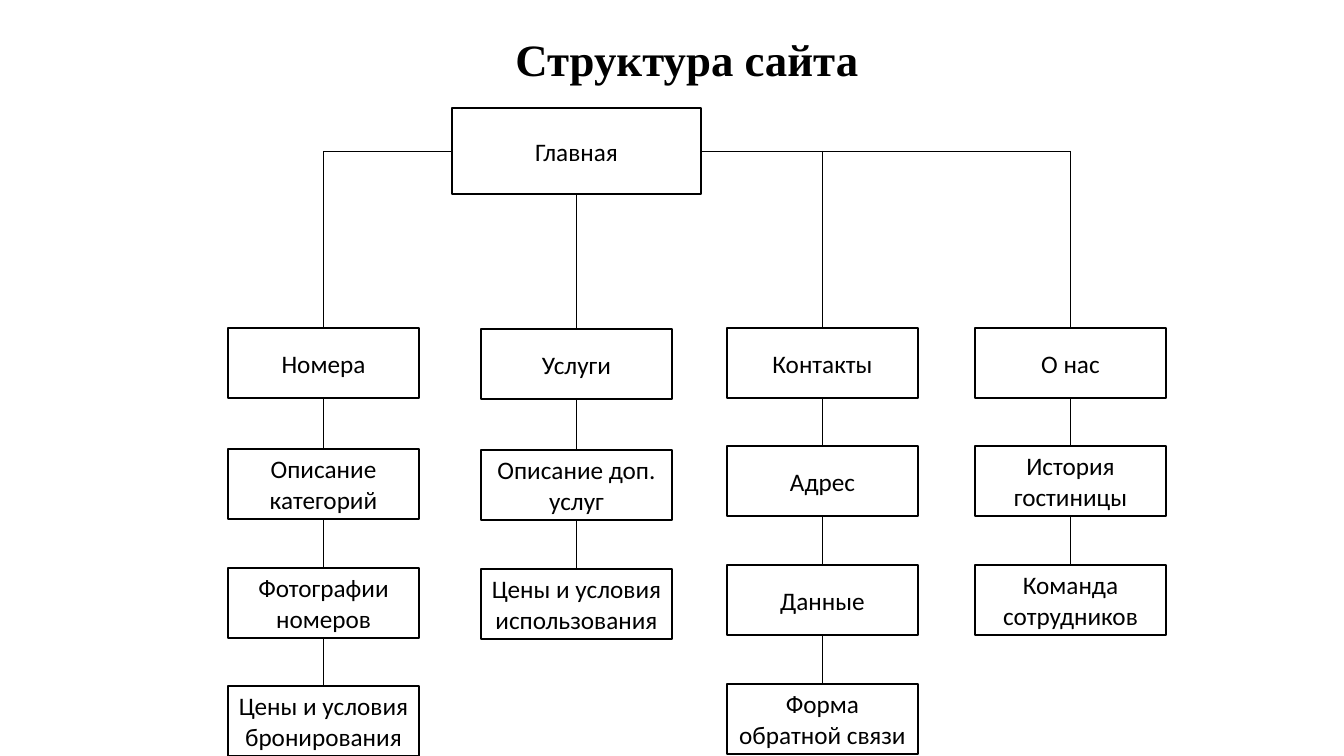
import pptx
import pptx.util
import pptx.dml.color
import pptx.enum.shapes
import pptx.enum.text
import pptx.oxml.ns
import lxml.etree

PX = 914400 / 100.8  # EMU per px
BLACK = pptx.dml.color.RGBColor(0x00, 0x00, 0x00)
WHITE = pptx.dml.color.RGBColor(0xFF, 0xFF, 0xFF)
STRAIGHT = pptx.enum.shapes.MSO_CONNECTOR.STRAIGHT
ELBOW = pptx.enum.shapes.MSO_CONNECTOR.ELBOW
TOP, LEFT, BOTTOM, RIGHT = range(4)
BOX_W, BOX_H = 191, 70

prs = pptx.Presentation()
prs.slide_width = pptx.util.Emu(round(1344 * PX))
prs.slide_height = pptx.util.Emu(round(756 * PX))
s = prs.slides.add_slide(prs.slide_layouts[6])


def add_box(text, x, y, w, h):
    sp = s.shapes.add_shape(pptx.enum.shapes.MSO_SHAPE.RECTANGLE,
                            *[round(v * PX) for v in (x, y, w, h)])
    sp.shadow.inherit = False
    sp.fill.solid()
    sp.fill.fore_color.rgb = WHITE
    sp.line.color.rgb = BLACK
    sp.line.width = pptx.util.Pt(1)
    tf = sp.text_frame
    tf.word_wrap = True
    tf.vertical_anchor = pptx.enum.text.MSO_ANCHOR.MIDDLE
    tf.text = text
    p = tf.paragraphs[0]
    p.alignment = pptx.enum.text.PP_ALIGN.CENTER
    font = p.runs[0].font
    font.name = "Calibri"
    font.size = pptx.util.Pt(18)
    font.color.rgb = BLACK
    return sp


def add_line(x1, y1, x2, y2, kind=STRAIGHT):
    cxn = s.shapes.add_connector(kind, x1, y1, x2, y2)
    cxn.line.color.rgb = BLACK
    cxn.line.width = pptx.util.Pt(0.5)
    lxml.etree.SubElement(cxn._element.spPr, pptx.oxml.ns.qn("a:effectLst"))
    return cxn


# Title
sp = s.shapes.add_textbox(*[round(v * PX) for v in (303, 27, 768, 70)])
tf = sp.text_frame
tf.word_wrap = True
tf.vertical_anchor = pptx.enum.text.MSO_ANCHOR.MIDDLE
tf.text = "Структура сайта"
p = tf.paragraphs[0]
p.alignment = pptx.enum.text.PP_ALIGN.CENTER
p.line_spacing = 0.9
font = p.runs[0].font
font.name = "Times New Roman"
font.size = pptx.util.Pt(32)
font.bold = True
font.color.rgb = BLACK

# Root and the sections below it: left edge, then (text, top) of each box
root = add_box("Главная", 452, 108, 249, 86)
sections = [
    (228, [("Номера", 328), ("Описание категорий", 449),
           ("Фотографии номеров", 568), ("Цены и условия бронирования", 686)]),
    (481, [("Услуги", 329), ("Описание доп. услуг", 450),
           ("Цены и условия использования", 569)]),
    (727, [("Контакты", 328), ("Адрес", 446),
           ("Данные", 565), ("Форма обратной связи", 684)]),
    (975, [("О нас", 328), ("История гостиницы", 446),
           ("Команда сотрудников", 565)]),
]
heads = []
for x, items in sections:
    boxes = [add_box(text, x, y, BOX_W, BOX_H) for text, y in items]
    heads.append(boxes[0])
    for upper, lower in zip(boxes, boxes[1:]):
        cxn = add_line(0, 0, 0, 0)
        cxn.begin_connect(upper, BOTTOM)
        cxn.end_connect(lower, TOP)
rooms, services, contacts, about = heads

# Root to services, straight down
cxn = add_line(0, 0, 0, 0)
cxn.begin_connect(root, BOTTOM)
cxn.end_connect(services, TOP)

# Root to rooms, one bend
root_mid = root.top + root.height // 2
cxn = add_line(root.left, root_mid, rooms.left + rooms.width // 2, rooms.top, ELBOW)
cxn.begin_connect(root, LEFT)
cxn.end_connect(rooms, TOP)
cxn._element.spPr.find(pptx.oxml.ns.qn("a:prstGeom")).set("prst", "bentConnector2")

# Shared line to the right, with drops to contacts and about
about_mid = about.left + about.width // 2
cxn = add_line(root.left + root.width, root_mid, about_mid, root_mid)
cxn.begin_connect(root, RIGHT)
for head in (contacts, about):
    mid = head.left + head.width // 2
    cxn = add_line(mid, root_mid, mid, head.top)
    cxn.end_connect(head, TOP)

prs.save("out.pptx")
